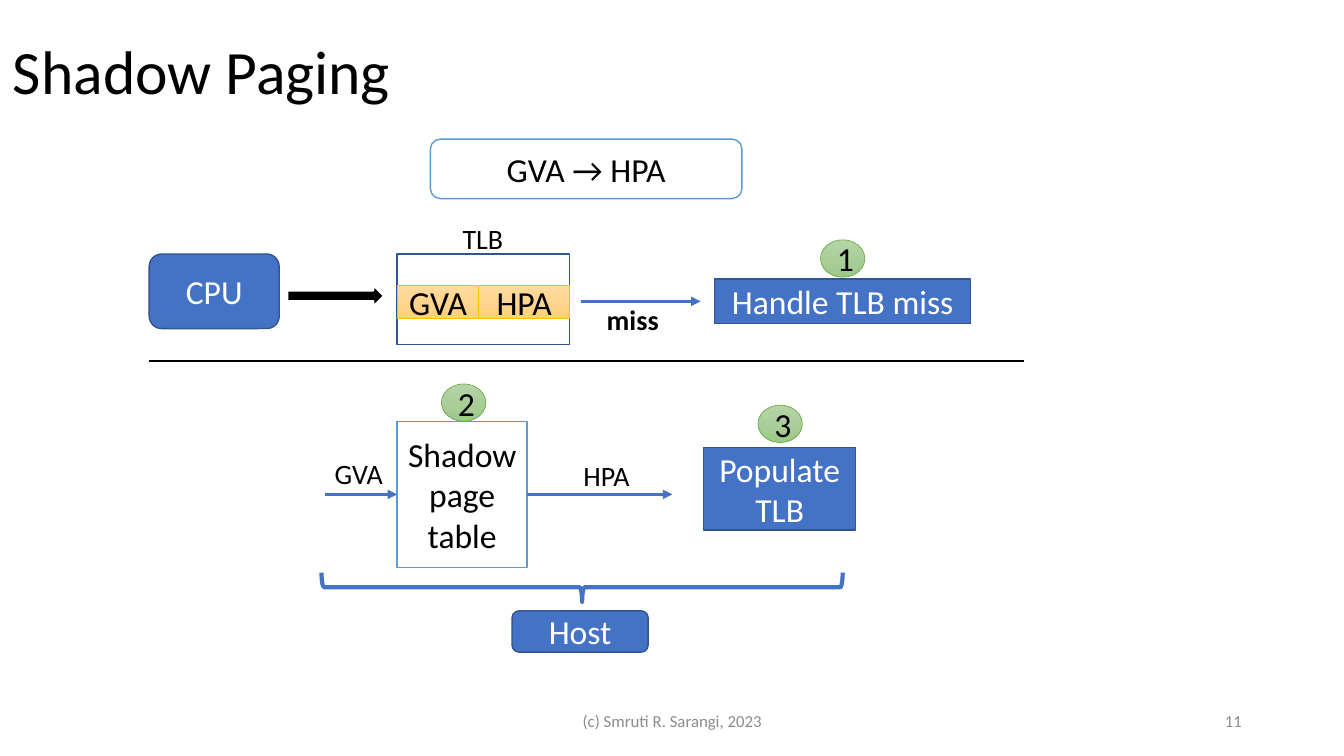
import copy
from dataclasses import dataclass

import lxml.etree
import pptx
import pptx.dml.color
import pptx.enum.shapes
import pptx.enum.text
import pptx.oxml.ns
import pptx.shapes.autoshape
import pptx.shapes.connector
import pptx.slide
import pptx.text.text
import pptx.util

RGB = pptx.dml.color.RGBColor
KIND = pptx.enum.shapes.MSO_SHAPE
ALIGN = pptx.enum.text.PP_ALIGN
ANCHOR = pptx.enum.text.MSO_ANCHOR
FIT = pptx.enum.text.MSO_AUTO_SIZE
qn = pptx.oxml.ns.qn

COLS, ROWS = 133.33, 75
CELL = pptx.util.Inches(0.1)

BLACK = RGB(0x00, 0x00, 0x00)
WHITE = RGB(0xFF, 0xFF, 0xFF)
GREY = RGB(0x8C, 0x8C, 0x8C)
BLUE = RGB(0x44, 0x72, 0xC4)
NAVY = RGB(0x32, 0x54, 0x91)
SKY = RGB(0x5B, 0x9B, 0xD5)
GOLD = RGB(0xFF, 0xC0, 0x00)
GREEN = RGB(0x70, 0xAD, 0x47)
AMBER = (RGB(0xFF, 0xDB, 0x9E), RGB(0xFF, 0xD5, 0x90), RGB(0xFF, 0xD0, 0x7C))
LEAF = (RGB(0xB5, 0xD5, 0xA7), RGB(0xAA, 0xCE, 0x9A), RGB(0x9C, 0xC9, 0x87))


@dataclass(frozen=True)
class Look:
    fills: tuple[RGB, ...]
    edge: RGB
    weight: float
    ink: RGB = BLACK


SOLID = Look((BLUE,), NAVY, 1, WHITE)
PLAIN = Look((WHITE,), SKY, 1)
FRAME = Look((), NAVY, 1)
ENTRY = Look(AMBER, GOLD, 0.5)
BADGE = Look(LEAF, GREEN, 0.5)
THICK = Look((BLACK,), WHITE, 1.5)
BRACE = Look((), BLUE, 3)


@dataclass(frozen=True)
class Box:
    text: str
    col: float
    row: float
    wide: float
    high: float
    look: Look
    kind: KIND = KIND.RECTANGLE
    turn: float = 0


@dataclass(frozen=True)
class Label:
    text: str
    col: float
    row: float
    wide: float
    high: float = 4.4
    size: float = 20
    ink: RGB = BLACK
    bold: bool = False
    align: ALIGN = ALIGN.LEFT
    fixed: bool = False
    space: float = 1


@dataclass(frozen=True)
class Rule:
    start: float
    stop: float
    row: float
    color: RGB = BLUE
    weight: float = 2.25
    arrow: bool = True
    source: str = ""
    target: str = ""


TABLE = "Shadow page table"
MID = 49.05

BOXES = [
    Box("GVA → HPA", 42.7, 13.8, 30.9, 5.9, PLAIN, KIND.ROUNDED_RECTANGLE),
    Box("CPU", 14.8, 25.2, 12.9, 7.4, SOLID, KIND.ROUNDED_RECTANGLE),
    Box("", 28.5, 28.3, 9.6, 2.1, THICK, KIND.RIGHT_ARROW),
    Box("", 39.4, 25.2, 17.1, 9, FRAME),
    Box("GVA", 39.4, 28.3, 8.1, 3.3, ENTRY),
    Box("HPA", 47.5, 28.3, 9, 3.3, ENTRY),
    Box("Handle TLB miss", 70.9, 27.7, 25.4, 4.4, SOLID),
    Box(TABLE, 39.4, 41.8, 12.9, 14.5, PLAIN),
    Box("", 56.3, 32.4, 2.9, 51.7, BRACE, KIND.LEFT_BRACE, 270),
    Box("Host", 50.8, 60.6, 13.5, 4.1, SOLID, KIND.ROUNDED_RECTANGLE),
    Box("Populate TLB", 69.8, 44.4, 15.1, 8.2, SOLID),
]
STEPS = [(81.4, 23.8), (43.8, 38.1), (75.2, 40.2)]
LABELS = [
    Label("Shadow Paging", 0.3, 0.1, 115, 14.5, 44, fixed=True, space=0.9),
    Label("(c) Smruti R. Sarangi, 2023", 44.2, 69.5, 45, 4, 12, GREY,
          align=ALIGN.CENTER, fixed=True),
    Label("11", 94.2, 69.5, 30, 4, 12, GREY, align=ALIGN.RIGHT, fixed=True),
    Label("miss", 59.2, 29.5, 7.2, bold=True),
    Label("TLB", 44.9, 21.5, 6.1),
    Label("GVA", 32.2, 44.8, 6.9),
    Label("HPA", 56.9, 45, 6.7),
]
RULES = [
    Rule(57.6, 69.5, 29.9),
    Rule(32.2, 39.4, MID, target=TABLE),
    Rule(52.3, 66.7, MID, source=TABLE),
    Rule(14.8, 101.6, 35.8, BLACK, 1.5, False),
]


def grid(*cells: float) -> list[int]:
    return [round(cell * CELL) for cell in cells]


def write(frame: pptx.text.text.TextFrame, text: str, *, size: float = 24,
          ink: RGB = BLACK, bold: bool = False, align: ALIGN = ALIGN.CENTER,
          space: float = 1, anchor: ANCHOR = ANCHOR.MIDDLE) -> None:
    frame.vertical_anchor = anchor
    para = frame.paragraphs[0]
    para.alignment = align
    para.line_spacing = space
    run = para.add_run()
    run.text = text
    run.font.name = "Calibri"
    run.font.size = pptx.util.Pt(size)
    run.font.bold = bold
    run.font.color.rgb = ink


def paint(shape: pptx.shapes.autoshape.Shape, fills: tuple[RGB, ...]) -> None:
    if not fills:
        shape.fill.background()
    elif len(fills) == 1:
        shape.fill.solid()
        shape.fill.fore_color.rgb = fills[0]
    else:
        shape.fill.gradient()
        shape.fill.gradient_angle = 270
        stops = next(shape._element.spPr.iter(qn("a:gsLst")))
        stops.insert(1, copy.deepcopy(stops[0]))
        for rank, (stop, color) in enumerate(zip(shape.fill.gradient_stops, fills)):
            stop.color.rgb = color
            stop.position = rank / (len(fills) - 1)


def draw_box(slide: pptx.slide.Slide, box: Box) -> pptx.shapes.autoshape.Shape:
    shape = slide.shapes.add_shape(
        box.kind, *grid(box.col, box.row, box.wide, box.high))
    shape.rotation = box.turn
    shape.shadow.inherit = False
    paint(shape, box.look.fills)
    shape.line.color.rgb = box.look.edge
    shape.line.width = pptx.util.Pt(box.look.weight)
    if box.text:
        write(shape.text_frame, box.text, ink=box.look.ink)
    return shape


def draw_label(slide: pptx.slide.Slide, label: Label) -> None:
    frame = slide.shapes.add_textbox(
        *grid(label.col, label.row, label.wide, label.high)).text_frame
    frame.word_wrap = label.fixed
    frame.auto_size = FIT.NONE if label.fixed else FIT.SHAPE_TO_FIT_TEXT
    write(frame, label.text, size=label.size, ink=label.ink, bold=label.bold,
          align=label.align, space=label.space,
          anchor=ANCHOR.MIDDLE if label.fixed else ANCHOR.TOP)


def draw_rule(slide: pptx.slide.Slide, rule: Rule,
              shapes: dict[str, pptx.shapes.autoshape.Shape]) -> None:
    line = slide.shapes.add_connector(
        pptx.enum.shapes.MSO_CONNECTOR.STRAIGHT,
        *grid(rule.start, rule.row, rule.stop, rule.row))
    if rule.source:
        line.begin_connect(shapes[rule.source], 3)
    if rule.target:
        line.end_connect(shapes[rule.target], 1)
    line.line.color.rgb = rule.color
    line.line.width = pptx.util.Pt(rule.weight)
    if rule.arrow:
        lxml.etree.SubElement(
            line.line._get_or_add_ln(), qn("a:tailEnd"), type="triangle")
    lxml.etree.SubElement(line._element.spPr, qn("a:effectLst"))


def main() -> None:
    deck = pptx.Presentation()
    deck.slide_width, deck.slide_height = grid(COLS, ROWS)
    slide = deck.slides.add_slide(deck.slide_layouts[6])
    shapes = {box.text: draw_box(slide, box) for box in BOXES}
    for step, (col, row) in enumerate(STEPS, 1):
        draw_box(slide, Box(str(step), col, row, 4.4, 3.7, BADGE, KIND.OVAL))
    for label in LABELS:
        draw_label(slide, label)
    for rule in RULES:
        draw_rule(slide, rule, shapes)
    deck.save("out.pptx")


if __name__ == "__main__":
    main()
